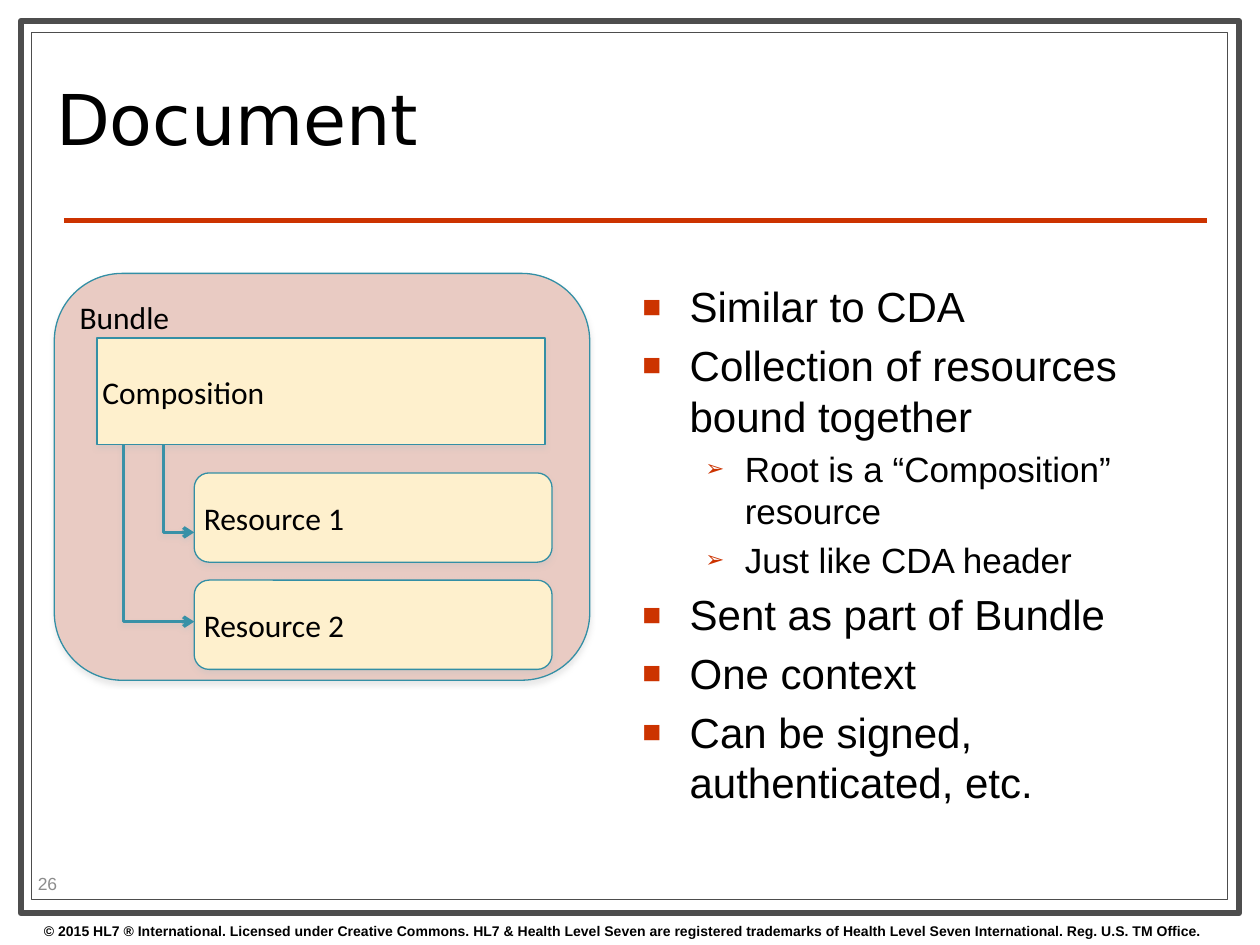
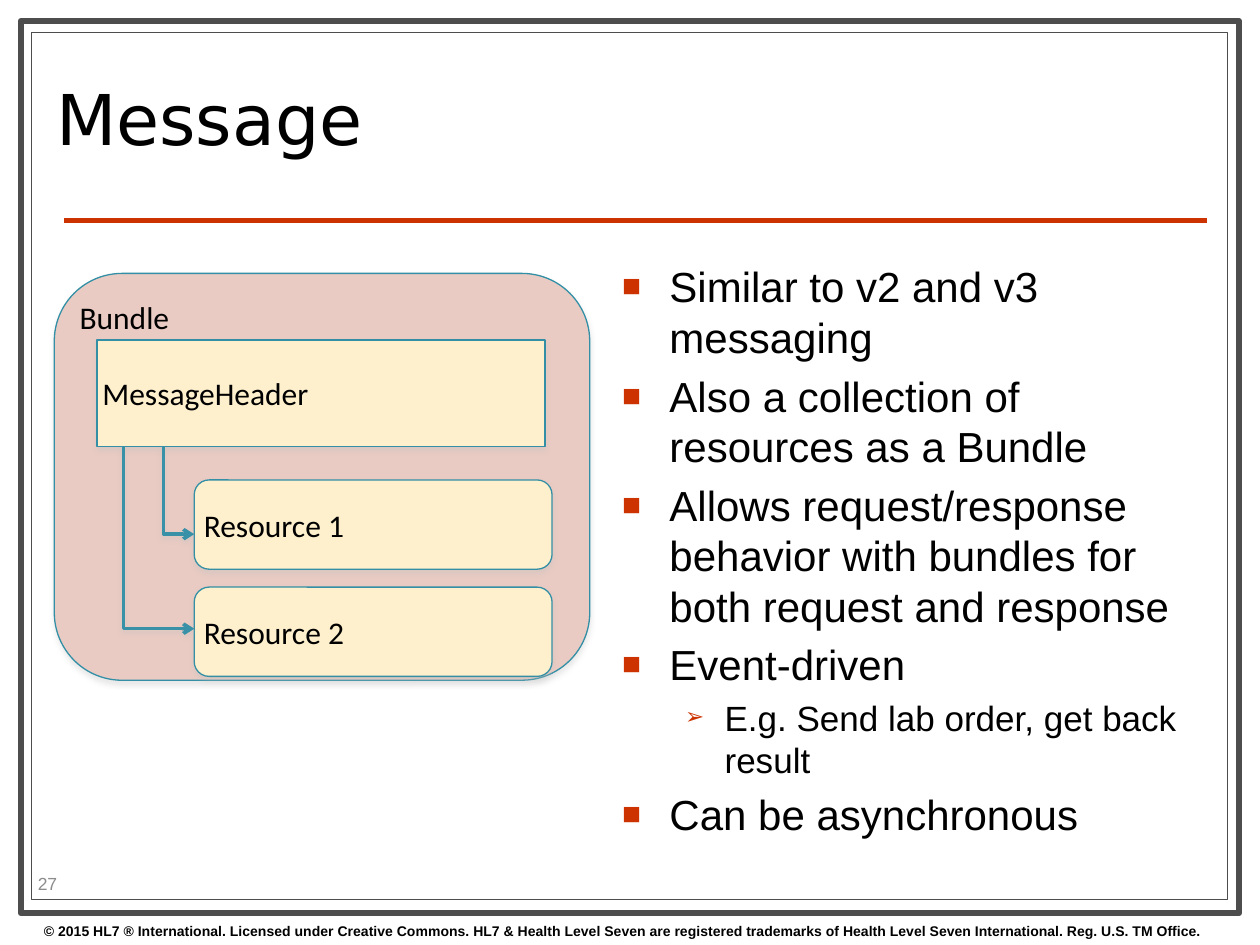
from dataclasses import dataclass
from lxml.etree import SubElement
from pptx import Presentation
from pptx.dml.color import RGBColor
from pptx.enum.shapes import MSO_CONNECTOR, MSO_SHAPE
from pptx.enum.text import MSO_ANCHOR, PP_ALIGN
from pptx.oxml.ns import qn
from pptx.util import Pt


@dataclass(frozen=True)
class Theme:
    ink: str = "000000"
    paper: str = "FFFFFF"
    frame: str = "4D4D4D"
    accent: str = "CC3300"
    muted: str = "8C8C8C"
    rose: str = "E9CBC3"
    cream: str = "FEF0CD"
    edge: str = "338FA5"
    link: str = "3891A7"
    shade: str = "C0C0C0"
    body: str = "Arial"
    head: str = "DejaVu Sans"
    label: str = "Calibri"


T = Theme()
TITLE = dict(name=T.head, size=Pt(40), color=T.ink)
LABEL = dict(name=T.label, size=Pt(18), color=T.ink)
NUMBER = dict(name=T.body, size=Pt(10), color=T.muted)
LEGAL = dict(name=T.body, size=Pt(8), color=T.ink, bold=True)

# Per level: type size, text indent, hanging indent, bullet, bullet size in %
LEVELS = [(24, 27, 27, "■", 75), (20, 58.5, 22.5, "➢", 65)]

NOTICE = ("© 2015 HL7 ® International. Licensed under Creative Commons. "
          "HL7 & Health Level Seven are registered trademarks of "
          "Health Level Seven International. Reg. U.S. TM Office.")

PAGES = [
    dict(title="Document", number=26, header="Composition",
         tops=(37, 114), drops=(50, 101), area=(360, 157, 306, 323),
         points=[(0, "Similar to CDA"),
                 (0, "Collection of resources bound together"),
                 (1, "Root is a “Composition” resource"),
                 (1, "Just like CDA header"),
                 (0, "Sent as part of Bundle"),
                 (0, "One context"),
                 (0, "Can be signed, authenticated, etc.")]),
    dict(title="Message", number=27, header="MessageHeader",
         tops=(38, 118), drops=(50, 104), area=(348.5, 145.5, 341, 351),
         points=[(0, "Similar to v2 and v3 messaging"),
                 (0, "Also a collection of resources as a Bundle"),
                 (0, "Allows request/response behavior with bundles "
                     "for both request and response"),
                 (0, "Event-driven"),
                 (1, "E.g. Send lab order, get back result"),
                 (0, "Can be asynchronous")]),
]


def rgb(code):
    return RGBColor.from_string(code)


def add(parent, tag, **attrs):
    return SubElement(parent, qn(tag), {k: str(v) for k, v in attrs.items()})


def write(para, text, style):
    run = para.add_run()
    run.text = text
    for key, value in style.items():
        if key == "color":
            run.font.color.rgb = rgb(value)
        else:
            setattr(run.font, key, value)


def set_frame(frame, anchor, inset=None):
    frame.word_wrap = True
    frame.vertical_anchor = anchor
    if inset is not None:
        for side in ("left", "top", "right", "bottom"):
            setattr(frame, f"margin_{side}", Pt(inset))


def add_text(slide, box, text, style, anchor=MSO_ANCHOR.MIDDLE, inset=None):
    frame = slide.shapes.add_textbox(*map(Pt, box)).text_frame
    set_frame(frame, anchor, inset)
    write(frame.paragraphs[0], text, style)
    return frame


def set_shadow(shape, dist, alpha):
    shape.shadow.inherit = False
    effects = shape._element.spPr.find(qn("a:effectLst"))
    outer = add(effects, "a:outerShdw", blurRad=Pt(3), dist=Pt(dist),
                dir=90 * 60000, rotWithShape=0)
    color = add(outer, "a:srgbClr", val=T.shade)
    add(color, "a:alpha", val=alpha * 1000)


def add_box(slide, kind, box, fill, line, width=0.75):
    shape = slide.shapes.add_shape(kind, *map(Pt, box))
    shape.shadow.inherit = False
    shape.fill.solid()
    shape.fill.fore_color.rgb = rgb(fill)
    shape.line.color.rgb = rgb(line)
    shape.line.width = Pt(width)
    return shape


def add_card(slide, kind, box, fill):
    card = add_box(slide, kind, box, fill, T.edge)
    set_shadow(card, 1.8, 35)
    return card


def add_elbow(slide, x, top, end, bottom):
    """Arrow that drops from the header and turns right to a resource."""
    path = slide.shapes.build_freeform(Pt(x), Pt(top))
    path.add_line_segments([(Pt(x), Pt(bottom)), (Pt(end), Pt(bottom))],
                           close=False)
    elbow = path.convert_to_shape()
    elbow.fill.background()
    elbow.line.color.rgb = rgb(T.link)
    elbow.line.width = Pt(2)
    add(elbow.line._get_or_add_ln(), "a:tailEnd", type="arrow")
    set_shadow(elbow, 1.6, 38)


def add_base(slide, title, number):
    # Double frame
    for box, width in (((12, 12, 696, 510), 3.5), ((18, 18.5, 683.5, 495.5), 0.75)):
        add_box(slide, MSO_SHAPE.RECTANGLE, box, T.paper, T.frame, width)
    # Rule under the title
    rule = slide.shapes.add_connector(
        MSO_CONNECTOR.STRAIGHT, *map(Pt, (36.5, 126, 690, 126)))
    rule.line.color.rgb = rgb(T.accent)
    rule.line.width = Pt(3)
    add(rule._element.spPr, "a:effectLst")
    # Legal line, title and page number
    add_text(slide, (18, 523.5, 700, 16.5), NOTICE, LEGAL, MSO_ANCHOR.TOP)
    frame = add_text(slide, (25, 26, 516, 91), title, TITLE)
    frame.paragraphs[0].line_spacing = 0.8
    add_text(slide, (14.5, 496, 57, 17.5), str(number), NUMBER)


def add_bundle(slide, box, header, tops, drops):
    left, top, width, height = box
    head_y, first_y = (top + offset for offset in tops)
    # Outer bundle
    add_card(slide, MSO_SHAPE.ROUNDED_RECTANGLE, box, T.rose)
    add_text(slide, (left + 11.5, top + 11, width - 23, 28), "Bundle", LABEL,
             MSO_ANCHOR.TOP, 3)
    # Resources
    for i in range(2):
        x, y = left + 80, first_y + 61.25 * i
        add_card(slide, MSO_SHAPE.ROUNDED_RECTANGLE, (x, y, 204.5, 51), T.cream)
        add_text(slide, (x + 2.5, y + 11.5, 199.5, 28), f"Resource {i + 1}",
                 LABEL, inset=3)
    # Header resource
    card = add_card(slide, MSO_SHAPE.RECTANGLE,
                    (left + 24.5, head_y, 256, 61), T.cream)
    set_frame(card.text_frame, MSO_ANCHOR.MIDDLE, 3)
    para = card.text_frame.paragraphs[0]
    para.alignment = PP_ALIGN.LEFT
    write(para, header, LABEL)
    # Arrows from header to resources
    base = head_y + 61
    for x, drop in zip((62.5, 39.5), drops):
        add_elbow(slide, left + x, base, left + 80, base + drop)


def add_points(slide, box, points):
    frame = slide.shapes.add_textbox(*map(Pt, box)).text_frame
    set_frame(frame, MSO_ANCHOR.TOP)
    for i, (level, text) in enumerate(points):
        size, indent, hang, mark, scale = LEVELS[level]
        para = frame.paragraphs[0] if i == 0 else frame.add_paragraph()
        props = para._p.get_or_add_pPr()
        props.set("marL", str(Pt(indent)))
        props.set("indent", str(-Pt(hang)))
        add(add(props, "a:buClr"), "a:srgbClr", val=T.accent)
        add(props, "a:buSzPct", val=scale * 1000)
        add(props, "a:buFont", typeface=T.body)
        add(props, "a:buChar", char=mark)
        para.level = level
        para.line_spacing = Pt(1.2 * size)
        para.space_before = Pt(0.2 * size if i else 0)
        write(para, text, dict(name=T.body, size=Pt(size), color=T.ink))


def main():
    deck = Presentation()
    deck.slide_width, deck.slide_height = Pt(720), Pt(540)
    for page in PAGES:
        slide = deck.slides.add_slide(deck.slide_layouts[6])
        add_base(slide, page["title"], page["number"])
        add_bundle(slide, (31, 156.25, 306, 232.5), page["header"],
                   page["tops"], page["drops"])
        add_points(slide, page["area"], page["points"])
    deck.save("out.pptx")


if __name__ == "__main__":
    main()
